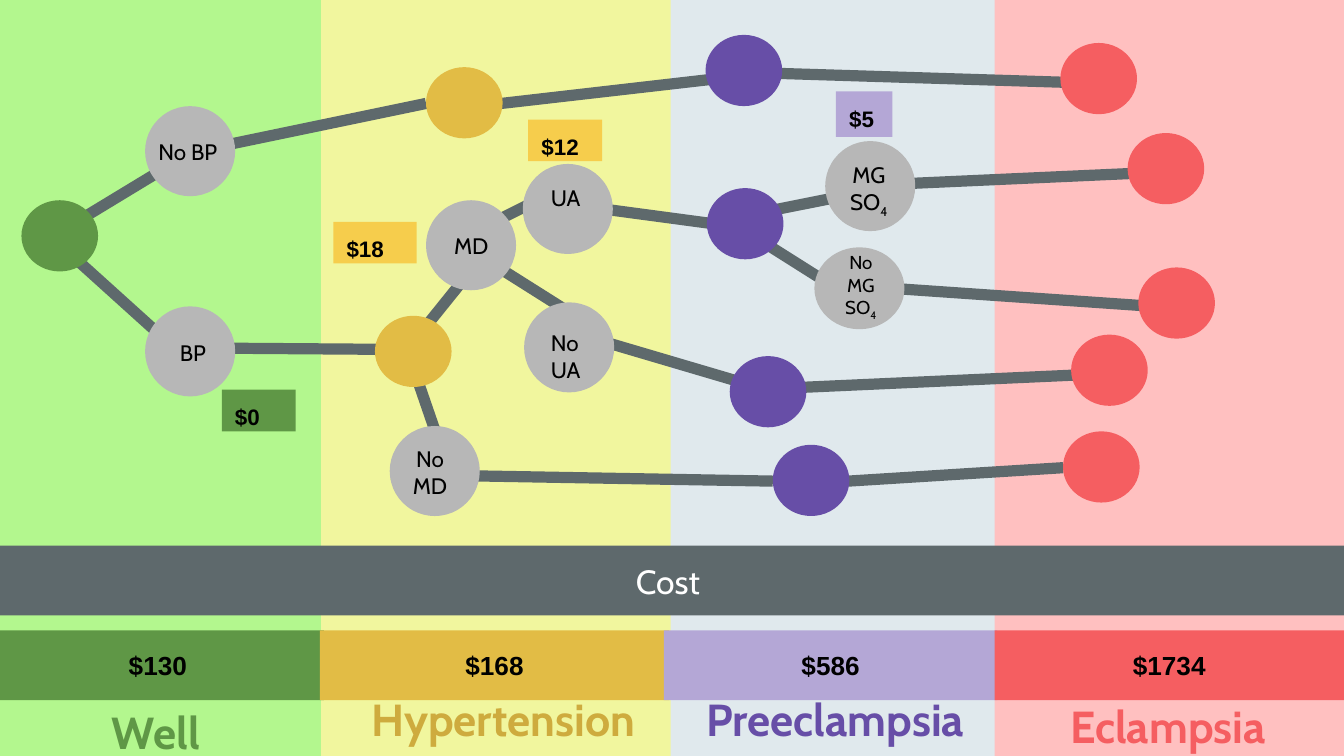
from dataclasses import dataclass

from lxml.etree import SubElement
from pptx import Presentation
from pptx.dml.color import RGBColor
from pptx.enum.shapes import MSO_CONNECTOR, MSO_SHAPE
from pptx.enum.text import MSO_ANCHOR, PP_ALIGN
from pptx.oxml.ns import qn
from pptx.util import Inches, Pt

# Positions are counted in cells; the slide is 100 cells wide.
SLIDE_WIDTH = Inches(10)
SLIDE_HEIGHT = SLIDE_WIDTH * 9 // 16
CELL = SLIDE_WIDTH / 100
INSET = Inches(0.1)

COLORS = {
    "green": "5F9746", "gold": "E2BC45", "purple": "674EA7", "red": "F55E61",
    "lilac": "B4A7D6", "amber": "F6CD4C", "dark gold": "CEAB3E",
    "pale green": "B3F78E", "pale yellow": "F1F69E", "pale blue": "E0E9ED",
    "pale red": "FFC0C0", "gray": "B7B7B7", "slate": "5E696C",
    "black": "000000", "white": "FFFFFF",
}

Box = tuple[float, float, float, float]  # left, top, width, height
Point = tuple[float, float]


@dataclass(frozen=True)
class Style:
    size: int
    font: str = "Cabin"
    color: str = "black"
    bold: bool = False
    align: PP_ALIGN = PP_ALIGN.CENTER
    anchor: MSO_ANCHOR = MSO_ANCHOR.TOP


@dataclass(frozen=True)
class Stage:
    name: str
    cost: str
    band: Box
    band_color: str
    cost_left: float
    cost_width: float
    cost_color: str
    title: Box
    title_color: str


@dataclass(frozen=True)
class Choice:
    """A gray node; an underscore in its text starts a subscript."""
    lines: tuple[str, ...]
    circle: Box
    label: Box
    size: int = 12
    align: PP_ALIGN = PP_ALIGN.LEFT


@dataclass(frozen=True)
class Tag:
    price: str
    box: Box
    color: str


# Back to front
STAGES = [
    Stage("Well", "$130", (-0.6, -0.3, 49.8, 56.9), "pale green",
          -0.6, 24.7, "green", (-0.6, 51.4, 24.4, 6.7), "green"),
    Stage("Preeclampsia", "$586", (49.4, -0.3, 49.8, 56.9), "pale blue",
          49.4, 24.8, "lilac", (50.1, 50.5, 24.1, 6.7), "purple"),
    Stage("Hypertension", "$168", (23.9, -0.5, 26, 57.2), "pale yellow",
          23.8, 26, "gold", (24.1, 50.5, 26.7, 6.7), "dark gold"),
    Stage("Eclampsia", "$1734", (74, -0.6, 26, 56.9), "pale red",
          74, 26, "red", (74, 51, 25.8, 6.7), "red"),
]

BRANCHES: list[tuple[Point, Point]] = [
    ((6.2, 16.2), (11.8, 12.8)), ((5.9, 19.5), (12.1, 25.1)),
    ((15.3, 25.9), (29.6, 26)), ((15.8, 11), (31.7, 7.7)),
    ((37.3, 7.7), (55.6, 5.6)), ((55.9, 5.4), (81.6, 6.2)),
    ((31.2, 24.9), (35.3, 19.8)), ((32.8, 33.3), (30.7, 27.2)),
    ((29.1, 35.3), (57.5, 35.8)), ((35.4, 17.2), (40, 14.9)),
    ((36.6, 19.6), (42.3, 23.2)), ((40, 14.9), (54.2, 16.8)),
    ((63.1, 35.8), (79.1, 34.8)), ((56.2, 15.9), (63.2, 14.5)),
    ((56.6, 17.9), (62.3, 21.5)), ((62.2, 13.9), (86.6, 12.8)),
    ((64.1, 21.3), (87.3, 22.9)), ((44.5, 25.3), (55, 28.4)),
    ((58, 28.9), (82.4, 27.8)),
]

# Left and top of the equally large state nodes
STATE_SIZE = (5.7, 5.3)
STATES: dict[str, list[Point]] = {
    "green": [(1.6, 14.9)],
    "gold": [(31.7, 5), (27.9, 23.5)],
    "purple": [(52.5, 2.6), (52.6, 14), (54.3, 26.5), (57.5, 33.1)],
    "red": [(78.9, 3.2), (83.9, 9.9), (84.7, 19.9), (79.7, 24.9), (79.1, 32.1)],
}

CHOICES = [
    Choice(("No BP",), (10.8, 7.9, 6.7, 6.7), (10.8, 9.3, 7.3, 4.3)),
    Choice(("BP",), (10.8, 22.8, 6.7, 6.7), (12.4, 24.2, 5.7, 4.3)),
    Choice(("MD",), (31.7, 14.9, 6.7, 6.7), (32.8, 16.3, 6.2, 4.3)),
    Choice(("No", "MD"), (29, 31.7, 6.7, 6.7), (27.7, 32.1, 8.6, 5.3),
           align=PP_ALIGN.CENTER),
    Choice(("UA",), (38.9, 12.2, 6.7, 6.7), (40, 12.7, 6.2, 4.3)),
    Choice(("No", "UA"), (39, 22.5, 6.7, 6.7), (40, 23.5, 6.2, 4.7)),
    Choice(("MG", "SO_4"), (61.4, 10.5, 6.7, 6.7), (60.7, 11, 7.9, 5.2),
           align=PP_ALIGN.CENTER),
    Choice(("No", "MG", "SO_4"), (60.6, 18.4, 6.7, 6.1), (60.1, 17.7, 7.9, 5.3),
           size=10, align=PP_ALIGN.CENTER),
]

TAGS = [
    Tag("$18", (24.8, 16.5, 6.2, 3.1), "amber"),
    Tag("$12", (39.3, 8.9, 5.5, 3.1), "amber"),
    Tag("$0", (16.5, 29, 5.5, 3.1), "green"),
    Tag("$5", (62.2, 6.8, 4.2, 3.4), "lilac"),
]


def rgb(name: str) -> RGBColor:
    return RGBColor.from_string(COLORS[name])


def cells(*counts: float) -> list[int]:
    return [round(count * CELL) for count in counts]


def write(shape, lines: tuple[str, ...], style: Style) -> None:
    frame = shape.text_frame
    frame.word_wrap = True
    frame.vertical_anchor = style.anchor
    frame.margin_left = frame.margin_right = INSET
    frame.margin_top = frame.margin_bottom = INSET
    for index, line in enumerate(lines):
        para = frame.paragraphs[0] if index == 0 else frame.add_paragraph()
        para.alignment = style.align
        para.font.size = Pt(style.size)
        para.font.name = style.font
        para.font.bold = style.bold
        para.font.color.rgb = rgb(style.color)
        base, _, subscript = line.partition("_")
        para.add_run().text = base
        if subscript:
            span = para.add_run()
            span.text = subscript
            span.font._element.set("baseline", "-25000")


def add_filled(shapes, kind: MSO_SHAPE, box: Box, color: str):
    shape = shapes.add_shape(kind, *cells(*box))
    shape.shadow.inherit = False
    shape.fill.solid()
    shape.fill.fore_color.rgb = rgb(color)
    shape.line.fill.background()
    return shape


def add_label(shapes, box: Box, lines: tuple[str, ...], style: Style) -> None:
    write(shapes.add_textbox(*cells(*box)), lines, style)


def add_branch(shapes, start: Point, end: Point) -> None:
    branch = shapes.add_connector(MSO_CONNECTOR.STRAIGHT, *cells(*start, *end))
    branch.line.width = Pt(6)
    branch.line.color.rgb = rgb("slate")
    SubElement(branch._element.spPr, qn("a:effectLst"))


def add_choice(shapes, choice: Choice) -> None:
    group = shapes.add_group_shape().shapes
    add_filled(group, MSO_SHAPE.OVAL, choice.circle, "gray")
    add_label(group, choice.label, choice.lines, Style(choice.size, align=choice.align))


def add_costs(shapes) -> None:
    style = Style(14, "Arial", bold=True, anchor=MSO_ANCHOR.MIDDLE)
    for stage in sorted(STAGES, key=lambda stage: stage.cost_left):
        box = (stage.cost_left, 46.9, stage.cost_width, 5.2)
        write(add_filled(shapes, MSO_SHAPE.RECTANGLE, box, stage.cost_color),
              (stage.cost,), style)
    heading = add_filled(shapes, MSO_SHAPE.RECTANGLE, (-0.6, 40.6, 100.6, 5.2), "slate")
    write(heading, ("Cost",), Style(18, color="white", anchor=MSO_ANCHOR.MIDDLE))


def main() -> None:
    deck = Presentation()
    deck.slide_width, deck.slide_height = SLIDE_WIDTH, SLIDE_HEIGHT
    shapes = deck.slides.add_slide(deck.slide_layouts[6]).shapes
    for stage in STAGES:
        add_filled(shapes, MSO_SHAPE.RECTANGLE, stage.band, stage.band_color)
    for start, end in BRANCHES:
        add_branch(shapes, start, end)
    for color, corners in STATES.items():
        for corner in corners:
            add_filled(shapes, MSO_SHAPE.OVAL, (*corner, *STATE_SIZE), color)
    for choice in CHOICES:
        add_choice(shapes, choice)
    for tag in TAGS:
        write(add_filled(shapes, MSO_SHAPE.RECTANGLE, tag.box, tag.color),
              (tag.price,), Style(12, "Arial", bold=True, align=PP_ALIGN.LEFT))
    add_costs(shapes)
    for stage in STAGES:
        add_label(shapes, stage.title, (stage.name,),
                  Style(24, color=stage.title_color, bold=True))
    deck.save("out.pptx")


if __name__ == "__main__":
    main()
